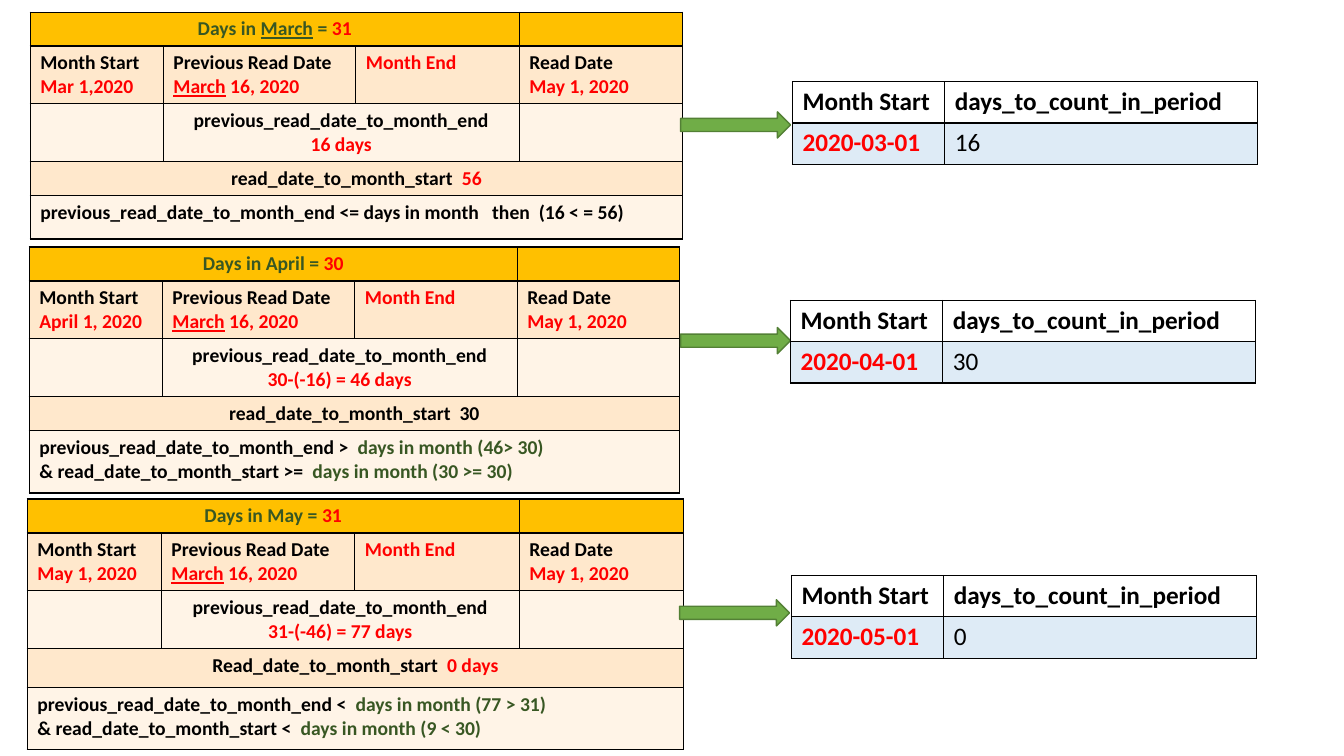
from lxml import etree
from pptx import Presentation
from pptx import util as u
from pptx.dml.color import RGBColor
from pptx.enum import shapes, text
from pptx.oxml.ns import qn

BLACK, RED, GREEN = "000000", "FF0000", "385723"
GOLD, PEACH, CREAM, BLUE = "FFC000", "FFE8CC", "FFF4E7", "5B9BD5"


def paint(fill, tone):
    """Fill with a solid hex colour."""
    fill.solid()
    fill.fore_color.rgb = RGBColor.from_string(tone)


def edge(cell):
    """Draw a thin black border on all four sides of a cell."""
    props = cell._tc.get_or_add_tcPr()
    for side in ("lnL", "lnR", "lnT", "lnB"):
        line = etree.SubElement(props, qn(f"a:{side}"), w="12700")
        solid = etree.SubElement(line, qn("a:solidFill"))
        etree.SubElement(solid, qn("a:srgbClr"), val=BLACK)


def fade(cell, share):
    """Make the fill of a cell partly clear."""
    tone = cell._tc.tcPr.find(qn("a:solidFill")).find(qn("a:srgbClr"))
    etree.SubElement(tone, qn("a:alpha"), val=str(share * 1000))


def write(cell, lines, size, mid=False):
    """Write lines of (words, colour, marks) runs, where b is bold and u underlined."""
    frame = cell.text_frame
    for i, line in enumerate(lines):
        para = frame.add_paragraph() if i else frame.paragraphs[0]
        if mid:
            para.alignment = text.PP_ALIGN.CENTER
        for words, tone, marks in line:
            run = para.add_run()
            run.text = words
            font = run.font
            font.name, font.size = "Calibri", u.Pt(size)
            font.bold, font.underline = "b" in marks, "u" in marks
            font.color.rgb = RGBColor.from_string(tone)


def grid(slide, left, top, cols, rows, size):
    """Add a plain bordered table with the given column and row sizes."""
    box = [u.Inches(n) for n in (left, top, sum(cols), sum(rows))]
    table = slide.shapes.add_table(len(rows), len(cols), *box).table
    table.first_row = table.horz_banding = False
    for col, width in zip(table.columns, cols):
        col.width = u.Inches(width)
    for row, height in zip(table.rows, rows):
        row.height = u.Inches(height)
    for cell in table.iter_cells():
        edge(cell)
        cell.fill.background()
        para = cell.text_frame.paragraphs[0]
        etree.SubElement(para._p, qn("a:endParaRPr"), sz=str(size * 100))
    return table


def month(slide, left, top, cols, rows, title, start, span, count, rule):
    """Place the worked table of one month."""
    table = grid(slide, left, top, cols, rows, 14)
    for r, tone in enumerate((GOLD, PEACH, CREAM, PEACH, CREAM)):
        for c in range(4):
            paint(table.cell(r, c).fill, tone)
    for r, first, last in ((0, 0, 2), (2, 1, 2), (3, 0, 3), (4, 0, 3)):
        table.cell(r, first).merge(table.cell(r, last))
    write(table.cell(0, 0), [title], 14, True)
    heads = (
        [[("Month Start", BLACK, "b")], [(start, RED, "b")]],
        [[("Previous Read Date", BLACK, "b")],
         [("March", RED, "bu"), (" 16, 2020", RED, "b")]],
        [[("Month End", RED, "b")]],
        [[("Read Date", BLACK, "b")], [("May 1, 2020", RED, "b")]],
    )
    for c, lines in enumerate(heads):
        write(table.cell(1, c), lines, 14)
    gap = [[("previous_read_date_to_month_end", BLACK, "b")], [(span, RED, "b")]]
    write(table.cell(2, 1), gap, 14, True)
    write(table.cell(3, 0), [count], 14, True)
    write(table.cell(4, 0), rule, 14)


def arrow(slide, left, top):
    """Place the green arrow from a month to its result."""
    box = [u.Inches(n) for n in (left, top, 1.09, 0.26)]
    shape = slide.shapes.add_shape(shapes.MSO_SHAPE.RIGHT_ARROW, *box)
    shape.shadow.inherit = False
    paint(shape.fill, "70AD47")
    paint(shape.line.fill, "538035")
    shape.line.width = u.Pt(1)


def result(slide, left, top, date, days):
    """Place the small table with the days to count."""
    table = grid(slide, left, top, (1.51, 3.1), (0.41, 0.41), 18)
    cells = (("Month Start", BLACK, "b"), ("days_to_count_in_period", BLACK, "b"),
             (date, RED, "b"), (days, BLACK, ""))
    for cell, run in zip(table.iter_cells(), cells):
        write(cell, [[run]], 18)
    for c in range(2):
        paint(table.cell(1, c).fill, BLUE)
        fade(table.cell(1, c), 20)


def main():
    """Build the slide and save it."""
    deck = Presentation()
    deck.slide_width, deck.slide_height = u.Inches(13.33), u.Inches(7.5)
    slide = deck.slides.add_slide(deck.slide_layouts[6])

    month(slide, 0.3, 0.12, (1.32, 1.91, 1.62, 1.62), (0.29, 0.48, 0.48, 0.29, 0.43),
          [("Days in ", GREEN, "b"), ("March", GREEN, "bu"), (" = ", GREEN, "b"),
           ("31", RED, "b")],
          "Mar 1,2020", "16 days",
          [("read_date_to_month_start  ", BLACK, "b"), ("56", RED, "b")],
          [[("previous_read_date_to_month_end <= days in month   then  (16 < = 56)",
             BLACK, "b")]])
    month(slide, 0.29, 2.45, (1.32, 1.91, 1.61, 1.61), (0.28, 0.48, 0.47, 0.29, 0.62),
          [("Days in April = ", GREEN, "b"), ("30", RED, "b")],
          "April 1, 2020", "30-(-16) = 46 days",
          [("read_date_to_month_start  30", BLACK, "b")],
          [[("previous_read_date_to_month_end >  ", BLACK, "b"),
            ("days in month (46> 30)", GREEN, "b")],
           [("& read_date_to_month_start >=  ", BLACK, "b"),
            ("days in month (30 >= 30)", GREEN, "b")]])
    month(slide, 0.27, 4.95, (1.33, 1.92, 1.63, 1.63), (0.27, 0.49, 0.46, 0.39, 0.61),
          [("Days in May = ", GREEN, "b"), ("31", RED, "b")],
          "May 1, 2020", "31-(-46) = 77 days",
          [("Read_date_to_month_start  ", BLACK, "b"), ("0 days", RED, "b")],
          [[("previous_read_date_to_month_end <  ", BLACK, "b"),
            ("days in month (77 > 31)", GREEN, "b")],
           [("& read_date_to_month_start <  ", BLACK, "b"),
            ("days in month (9 < 30)", GREEN, "b")]])

    for left, top in ((6.75, 1.11), (6.75, 3.25), (6.74, 5.95)):
        arrow(slide, left, top)
    for left, top, date, days in ((7.86, 0.81, "2020-03-01", "16"),
                                  (7.84, 2.98, "2020-04-01", "30"),
                                  (7.85, 5.71, "2020-05-01", "0")):
        result(slide, left, top, date, days)
    deck.save("out.pptx")


if __name__ == "__main__":
    main()
